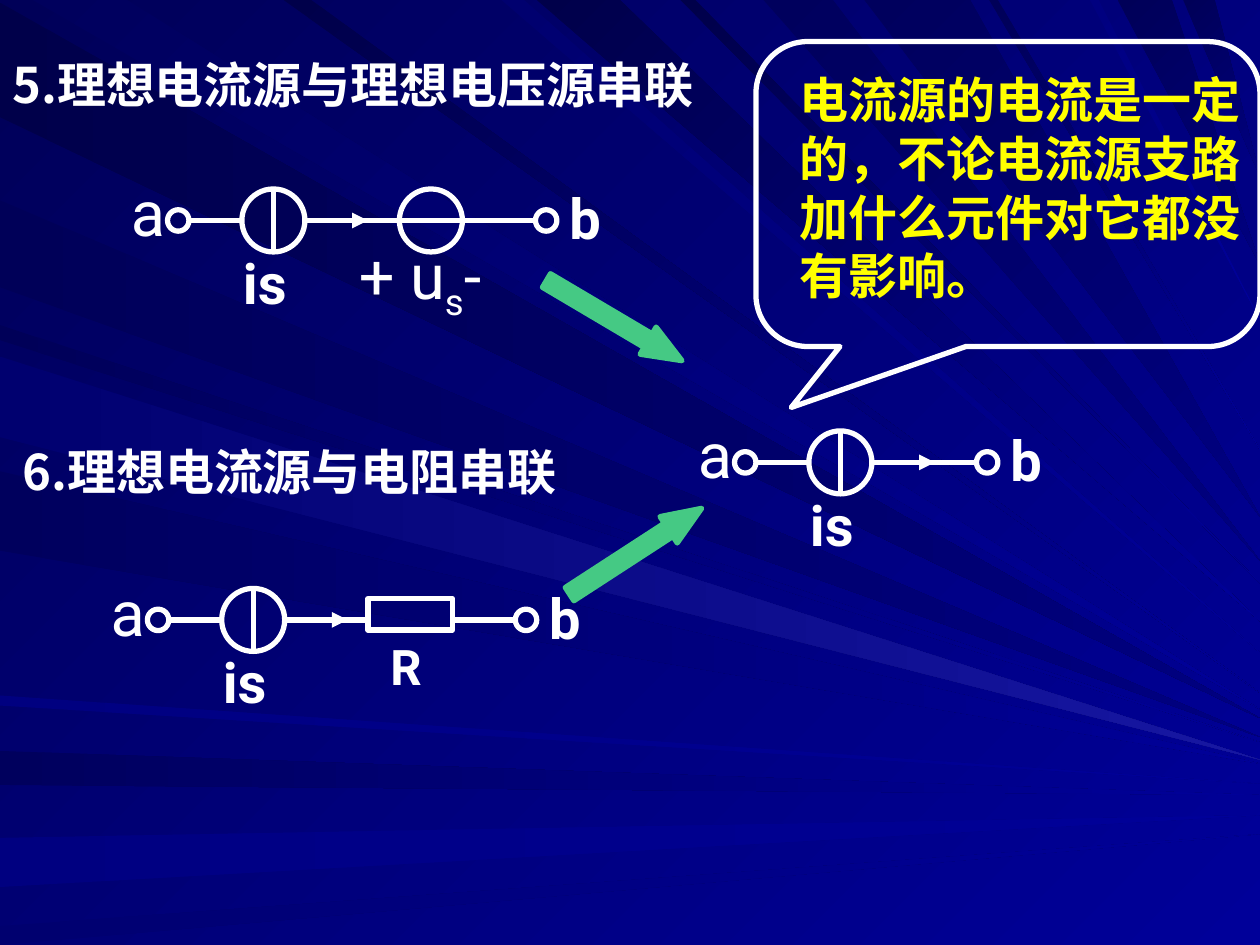
"""Builds a slide on current sources in series with other elements."""
from lxml import etree
from pptx import Presentation
from pptx.dml.color import RGBColor
from pptx.enum.shapes import MSO_CONNECTOR, MSO_SHAPE
from pptx.enum.text import MSO_ANCHOR
from pptx.oxml.ns import qn
from pptx.util import Inches, Pt

COLORS = {"white": "FFFFFF", "yellow": "FFFF00", "green": "45C984", "navy": "000058",
          "black": "00004A", "dark": "00005D", "middle": "00006F", "soft": "000080",
          "blue": "000099", "bright": "1717A2"}
CJK = "Noto Sans CJK SC"
LATIN = "Roboto"

presentation = Presentation()
presentation.slide_width, presentation.slide_height = Inches(10), Inches(7.5)
slide = presentation.slides.add_slide(presentation.slide_layouts[6])
shapes = slide.shapes


def set_gradient(fill, start, end, angle):
    fill.gradient()
    fill.gradient_angle = (360 - angle) % 360
    for stop, color in zip(fill.gradient_stops, (start, end)):
        stop.color.rgb = RGBColor.from_string(COLORS[color])


def add_text(box, runs, size, bold=True, font=LATIN, color="white", anchor=MSO_ANCHOR.TOP):
    frame = shapes.add_textbox(*map(Inches, box)).text_frame
    frame.word_wrap = True
    frame.vertical_anchor = anchor
    paragraph = frame.paragraphs[0]
    for text, baseline in runs:
        run = paragraph.add_run()
        run.text = text
        run.font.size = Pt(size)
        run.font.bold = bold
        run.font.color.rgb = RGBColor.from_string(COLORS[color])
        run.font.name = font
        properties = run._r.get_or_add_rPr()
        etree.SubElement(properties, qn("a:ea")).set("typeface", CJK)
        if baseline:
            properties.set("baseline", str(baseline))


set_gradient(slide.background.fill, "navy", "blue", 45)
top_rays = [
    (0.26, 1.01, 5.63, "dark", "blue"),
    (2.25, 2.47, 5.5, "black", "blue"),
    (3.98, 4.16, 5.18, "middle", "blue"),
    (4.26, 4.92, 4.93, "black", "blue"),
    (5.4, 5.52, 4.63, "black", "blue"),
    (6.06, 6.61, 4.45, "dark", "soft"),
    (6.86, 7.7, 4.1, "dark", "soft"),
    (7.85, 7.92, 3.57, "navy", "blue"),
    (8.65, 8.72, 2.54, "soft", "blue"),
    (8.87, 9.3, 2.1, "navy", "soft"),
    (9.39, 9.64, 1.4, "navy", "soft"),
]
left_rays = [
    (0.02, 0.93, 5.7, "black", "soft"),
    (1.59, 2.28, 5.85, "navy", "soft"),
    (2.58, 2.7, 5.89, "navy", "blue"),
    (3.74, 4.37, 6.06, "dark", "blue"),
    (5.52, 5.6, 6.22, "soft", "blue"),
    (5.96, 6.23, 6.31, "dark", "blue"),
    (6.65, 7.04, 6.47, "soft", "blue"),
    (7.35, 7.5, 6.62, "middle", "blue"),
    (2.83, 3.47, 6.03, "middle", "bright"),
]
rays = [((first, 0), (second, 0), tip, start, end, 45)
        for first, second, tip, start, end in top_rays]
rays += [((0, first), (0, second), tip, start, end, 0)
         for first, second, tip, start, end in left_rays]
for first, second, tip, start, end, angle in rays:
    builder = shapes.build_freeform(*map(Inches, first))
    builder.add_line_segments([tuple(map(Inches, point)) for point in (second, (10, tip))])
    ray = builder.convert_to_shape()
    ray.shadow.inherit = False
    ray.line.fill.background()
    set_gradient(ray.fill, start, end, angle)

circuits = [
    (5.83, 3.67, 1.92, [(1.09, 1.92)]),
    (1.17, 4.92, 2.92, [(1.09, 1.75), (2.42, 2.92)]),
    (1.33, 1.75, 2.92, [(1.09, 2.92)]),
]
outlines = [
    (MSO_SHAPE.OVAL, (3.17, 1.5, 0.5, 0.5), []),
    (MSO_SHAPE.RECTANGLE, (2.92, 4.75, 0.67, 0.25), []),
    (MSO_SHAPE.ROUNDED_RECTANGULAR_CALLOUT, (6, 0.33, 4, 2.42), [-0.43, 0.7, 0.17]),
]
lines = []
for left, middle, end, wires in circuits:
    for offset, diameter in ((0, 0.17), (0.59, 0.5), (end, 0.17)):
        box = (left + offset, middle - diameter / 2, diameter, diameter)
        outlines.append((MSO_SHAPE.OVAL, box, []))
    lines.append((left + 0.84, middle - 0.25, left + 0.84, middle + 0.25, False))
    for wire_start, wire_end in [(0.17, 0.59)] + wires:
        lines.append((left + wire_start, middle, left + wire_end, middle, False))
    lines.append((left + 1.25, middle, left + 1.59, middle, True))
    add_text((left - 0.39, middle - 0.42, 0.6, 0.7), [("a", 0)], 36, bold=False)
    add_text((left + end + 0.17, middle - 0.34, 0.58, 0.64), [("b", 0)], 32)
    add_text((left + 0.5, middle + 0.17, 0.75, 0.64), [("is", 0)], 32)

for kind, box, adjustments in outlines:
    outline = shapes.add_shape(kind, *map(Inches, box))
    outline.shadow.inherit = False
    outline.fill.background()
    outline.line.color.rgb = RGBColor.from_string(COLORS["white"])
    outline.line.width = Pt(3)
    for index, value in enumerate(adjustments):
        outline.adjustments[index] = value

for *ends, has_arrow in lines:
    line = shapes.add_connector(MSO_CONNECTOR.STRAIGHT, *map(Inches, ends))
    line.line.color.rgb = RGBColor.from_string(COLORS["white"])
    line.line.width = Pt(3)
    if has_arrow:
        etree.SubElement(line.line._get_or_add_ln(), qn("a:tailEnd")).set("type", "triangle")
    etree.SubElement(line._element.spPr, qn("a:effectLst"))

add_text((3, 5, 0.92, 0.57), [("R", 0)], 28)
add_text((2.75, 1.83, 1.33, 0.79), [("+ u", 0), ("s", -25000), ("-", 0)], 36, bold=False)
add_text((0, 0.04, 8.5, 1.25), [("5.理想电流源与理想电压源串联", 0)], 28,
         font=CJK, anchor=MSO_ANCHOR.MIDDLE)
add_text((0.08, 3.45, 5.67, 0.57), [("6.理想电流源与电阻串联", 0)], 28,
         font=CJK, anchor=MSO_ANCHOR.MIDDLE)
add_text((6.25, 0.5, 3.75, 1.97),
         [("电流源的电流是一定的，不论电流源支路加什么元件对它都没有影响。", 0)], 28,
         color="yellow", anchor=MSO_ANCHOR.MIDDLE)

for left, top, rotation in ((4.25, 2.42, 30.6), (4.42, 4.25, 327)):
    arrow = shapes.add_shape(MSO_SHAPE.RIGHT_ARROW, Inches(left), Inches(top),
                             Inches(1.25), Inches(0.25))
    arrow.shadow.inherit = False
    arrow.rotation = rotation
    arrow.adjustments[0], arrow.adjustments[1] = 0.5, 1.25
    arrow.fill.solid()
    arrow.fill.fore_color.rgb = RGBColor.from_string(COLORS["green"])
    arrow.line.color.rgb = RGBColor.from_string(COLORS["green"])
    arrow.line.width = Pt(3)

presentation.save("out.pptx")
